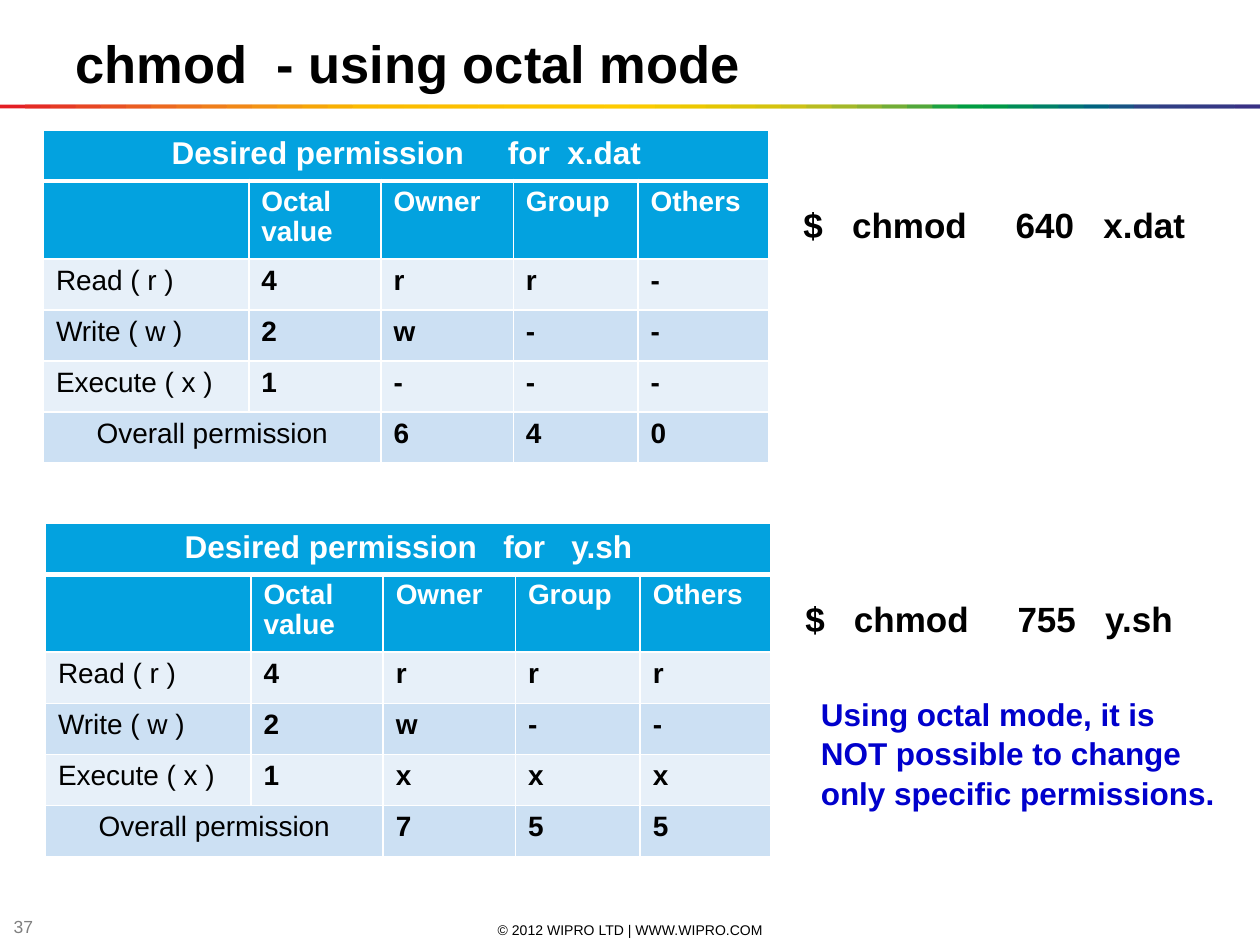
from lxml import etree
from pptx import Presentation
from pptx.dml.color import RGBColor
from pptx.enum import shapes, text
from pptx.oxml.ns import qn
from pptx.util import Pt

FONT = "Arial"
BLACK, WHITE, GREY, NAVY = "000000", "FFFFFF", "808080", "0000CC"
HEADER, LIGHT, DARK = "03A2DF", "E7F0F9", "CCE0F3"
SPACE_EM = 0.278
COLUMNS = [117.4, 75.6, 75.6, 71.3, 74.9]
ROW_HEIGHT = 29.2
HEADINGS = ["", "Octal value", "Owner", "Group", "Others"]
MODES = [("Read ( r )", "4"), ("Write ( w )", "2"), ("Execute ( x )", "1")]
RAINBOW = """
E31E24 E42C24 E53A24 E74623 E85122 EA5D21 EC691F EE741D EF7E1A F18817
F39314 F49C0F F6A607 F8B002 FBBA00 FBBB00 FBBD00 FCBF00 FCC000 FCC200
FDC400 FDC600 FDC700 FEC900 FECB00 FBCB00 F3CA00 ECC800 E4C602 DCC50A
D5C30E CCC117 B8BC21 A3B829 8CB230 71AD36 51A73B 1DA240 009D43 009846
008C57 008068 007275 00637F 185384 2E4285 313E85 333B85 353885 393185
""".split()


def rgb(value):
    return RGBColor.from_string(value)


def style(p, size, color, bold=False, align=text.PP_ALIGN.LEFT):
    p.alignment = align
    p.font.name = FONT
    p.font.size = Pt(size)
    p.font.bold = bold
    p.font.color.rgb = rgb(color)


def write_spaced(p, words, gaps, size):
    p.add_run().text = words[0]
    for word, gap in zip(words[1:], gaps):
        r = p.add_run()
        r.text = " "
        extra = (gap - 1) * size * SPACE_EM
        r._r.get_or_add_rPr().set("spc", str(round(extra * 100)))
        p.add_run().text = word


def add_text(slide, box, words, size, color, bold=False, gaps=(), top=3.6,
             align=text.PP_ALIGN.LEFT, anchor=text.MSO_ANCHOR.TOP):
    sp = slide.shapes.add_textbox(*map(Pt, box))
    tf = sp.text_frame
    tf.word_wrap = True
    tf.vertical_anchor = anchor
    tf.margin_top = Pt(top)
    p = tf.paragraphs[0]
    style(p, size, color, bold, align)
    write_spaced(p, words, gaps, size)
    return p


def add_rainbow(slide, box):
    left, top, width, height = box
    group = slide.shapes.add_group_shape()
    step = width / len(RAINBOW)
    for i, color in enumerate(RAINBOW):
        x = i * step
        sp = group.shapes.add_shape(
            shapes.MSO_SHAPE.RECTANGLE, Pt(left + x), Pt(top),
            Pt(min(2 * step, width - x)), Pt(height))
        sp.shadow.inherit = False
        sp.fill.solid()
        sp.fill.fore_color.rgb = rgb(color)
        sp.line.fill.background()


def set_borders(cell, bottom):
    props = cell._tc.get_or_add_tcPr()
    widths = {"lnL": 1, "lnR": 1, "lnT": 1, "lnB": bottom}
    for i, (tag, width) in enumerate(widths.items()):
        line = etree.Element(qn(f"a:{tag}"), w=str(Pt(width)))
        fill = etree.SubElement(line, qn("a:solidFill"))
        etree.SubElement(fill, qn("a:srgbClr"), val=WHITE)
        props.insert(i, line)


def add_permissions(slide, left, top, title, gaps, grants, totals):
    rows = [["", "", "", "", ""], HEADINGS]
    rows += [[*mode, *grant] for mode, grant in zip(MODES, grants)]
    rows.append(["Overall permission", "", *totals])
    last = len(rows) - 1
    table = slide.shapes.add_table(
        len(rows), len(COLUMNS), Pt(left), Pt(top),
        Pt(sum(COLUMNS)), Pt(ROW_HEIGHT * len(rows))).table
    for column, width in zip(table.columns, COLUMNS):
        column.width = Pt(width)
    for i, values in enumerate(rows):
        table.rows[i].height = Pt(ROW_HEIGHT)
        for j, value in enumerate(values):
            cell = table.cell(i, j)
            cell.fill.solid()
            fill = HEADER if i < 2 else (LIGHT, DARK)[i % 2]
            cell.fill.fore_color.rgb = rgb(fill)
            set_borders(cell, 3 if i == 0 else 1)
            p = cell.text_frame.paragraphs[0]
            p.text = value
            style(p, 16, WHITE if i < 2 else BLACK, i < 2 or j > 0)
            if i == 1:
                p.line_spacing = 0.97
    table.cell(0, 0).merge(table.cell(0, len(COLUMNS) - 1))
    table.cell(last, 0).merge(table.cell(last, 1))
    p = table.cell(0, 0).text_frame.paragraphs[0]
    style(p, 18, WHITE, True, text.PP_ALIGN.CENTER)
    write_spaced(p, title, gaps, 18)
    table.cell(last, 0).text_frame.paragraphs[0].alignment = text.PP_ALIGN.CENTER
    for cell in (table.cell(last, 0), table.cell(last, 1)):
        cell.fill.fore_color.rgb = rgb(DARK)


def add_command(slide, left, top, mode, name):
    add_text(slide, (left, top, 241.9, 107.3), ["$", "chmod", mode, name],
             20, BLACK, True, gaps=(3, 5, 3), top=27.5)


def add_footer(slide, top):
    middle = text.MSO_ANCHOR.MIDDLE
    add_text(slide, (246.2, top + 2, 228.2, 11.5),
             ["© 2012 WIPRO LTD | WWW.WIPRO.COM"], 8, BLACK,
             align=text.PP_ALIGN.CENTER, anchor=middle)
    add_text(slide, (0.7, top, 28.1, 11.5), ["37"], 10, GREY, anchor=middle)


def main():
    prs = Presentation()
    prs.slide_width, prs.slide_height = Pt(720), Pt(540)
    s = prs.slides.add_slide(prs.slide_layouts[6])
    add_footer(s, 523.5)
    add_rainbow(s, (0, 59.75, 720, 2.2))
    add_text(s, (36, 11.5, 648, 44), ["chmod", "- using octal mode"],
             30, BLACK, True, gaps=(2,), top=6.4)
    add_permissions(s, 24.8, 74.2, ["Desired permission", "for", "x.dat"],
                    (5, 2), ["rr-", "w--", "---"], "640")
    add_command(s, 452, 88.6, "640", "x.dat")
    add_permissions(s, 26, 299, ["Desired permission", "for", "y.sh"],
                    (3, 3), ["rrr", "w--", "xxx"], "755")
    add_command(s, 453.1, 313.7, "755", "y.sh")
    p = add_text(s, (462, 392.4, 244.8, 94.3),
                 ["Using octal mode, it is NOT possible to change "
                  "only specific permissions."], 18, NAVY, True)
    p.line_spacing = 1.05
    prs.save("out.pptx")


if __name__ == "__main__":
    main()
